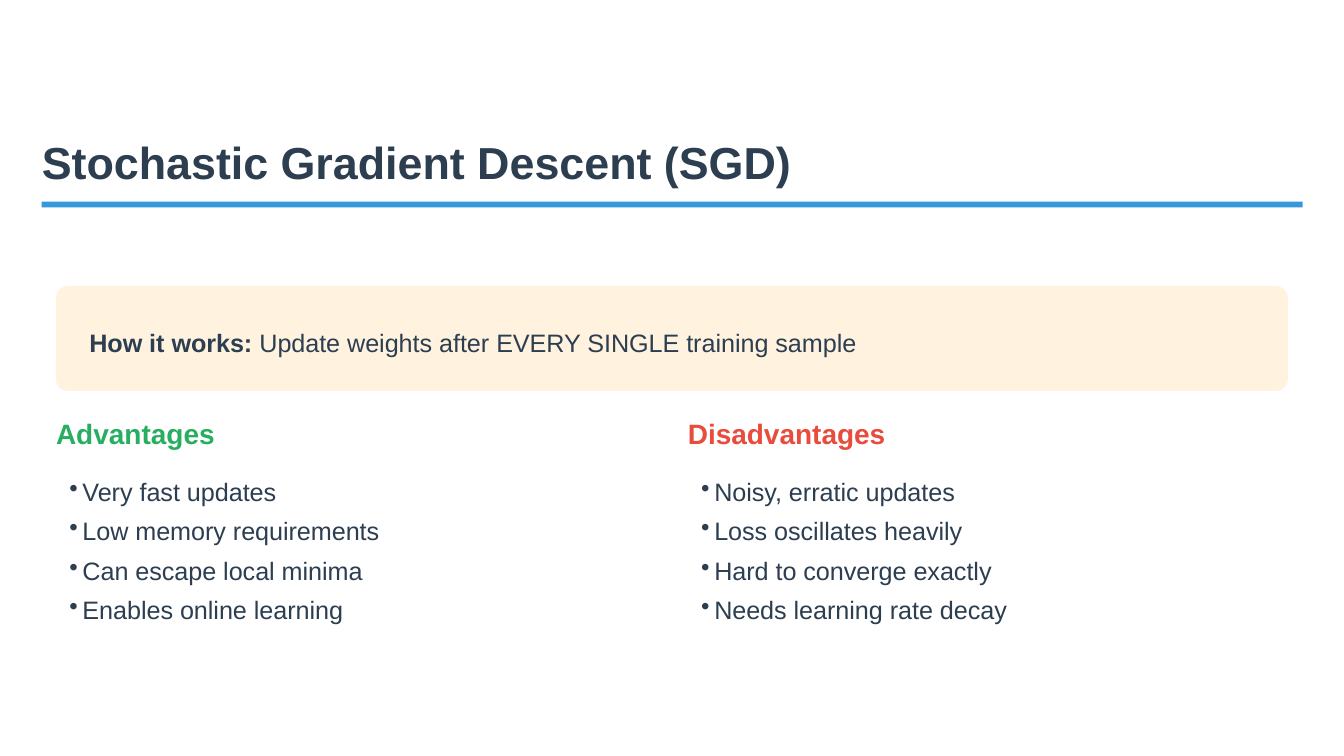
from dataclasses import dataclass

from lxml.etree import SubElement
from pptx import Presentation
from pptx.dml.color import RGBColor
from pptx.enum.shapes import MSO_SHAPE as Shape
from pptx.enum.text import MSO_ANCHOR as Anchor, MSO_AUTO_SIZE as AutoSize, PP_ALIGN as Align
from pptx.oxml.ns import qn
from pptx.util import Cm, Pt

FONT = "Arial"
INK = "2C3E50"
BLUE = "3498DB"
CREAM = "FFF3E0"
GREEN = "27AE60"
RED = "E74C3C"

MARGIN = 1.06
COLUMN_STEP = 11.94
INDENT = 0.25
BODY_SIZE = 13.5


@dataclass
class Box:
    left: float
    top: float
    width: float
    height: float

    def lengths(self) -> tuple:
        return Cm(self.left), Cm(self.top), Cm(self.width), Cm(self.height)


@dataclass
class Column:
    heading: str
    color: str
    items: list[str]


COLUMNS = [
    Column("Advantages", GREEN, [
        "Very fast updates",
        "Low memory requirements",
        "Can escape local minima",
        "Enables online learning",
    ]),
    Column("Disadvantages", RED, [
        "Noisy, erratic updates",
        "Loss oscillates heavily",
        "Hard to converge exactly",
        "Needs learning rate decay",
    ]),
]


def rgb(value: str) -> RGBColor:
    return RGBColor.from_string(value)


def prepare_frame(sp, inset: float = 0):
    tf = sp.text_frame
    tf.margin_left = Cm(inset)
    tf.margin_top = tf.margin_right = tf.margin_bottom = 0
    tf.vertical_anchor = Anchor.TOP
    tf.auto_size = AutoSize.NONE
    tf.word_wrap = True
    return tf


def add_frame(s, box: Box, inset: float = 0):
    return prepare_frame(s.shapes.add_textbox(*box.lengths()), inset)


def format_paragraph(p, line_spacing: float) -> None:
    p.alignment = Align.LEFT
    p.line_spacing = Pt(line_spacing)


def add_run(p, text: str, size: float, color: str = INK, bold: bool = False) -> None:
    r = p.add_run()
    r.text = text
    r.font.name = FONT
    r.font.size = Pt(size)
    r.font.bold = bold
    r.font.color.rgb = rgb(color)


def add_bullet(p) -> None:
    props = p._p.get_or_add_pPr()
    props.set("marL", str(Cm(INDENT)))
    props.set("indent", str(-Cm(INDENT)))
    SubElement(props, qn("a:buChar")).set("char", "•")


def add_panel(s, kind: Shape, box: Box, color: str):
    sp = s.shapes.add_shape(kind, *box.lengths())
    sp.shadow.inherit = False
    sp.fill.solid()
    sp.fill.fore_color.rgb = rgb(color)
    sp.line.fill.background()
    return sp


def add_title(s, text: str) -> None:
    sp = s.shapes.title
    sp.left, sp.top, sp.width, sp.height = Box(0.79, 2.72, 14.48, 0.84).lengths()
    p = prepare_frame(sp).paragraphs[0]
    format_paragraph(p, 24)
    add_run(p, text, 24, bold=True)


def add_summary(s, label: str, text: str) -> None:
    sp = add_panel(s, Shape.ROUNDED_RECTANGLE, Box(MARGIN, 5.41, 23.28, 1.98), CREAM)
    sp.adjustments[0] = 0.11
    p = add_frame(s, Box(1.69, 6.05, 22.45, 0.71)).paragraphs[0]
    format_paragraph(p, 20.2)
    add_run(p, label, BODY_SIZE, bold=True)
    add_run(p, text, BODY_SIZE)


def add_column(s, left: float, column: Column) -> None:
    p = add_frame(s, Box(left, 7.92, 5.79, 0.58)).paragraphs[0]
    format_paragraph(p, 16.7)
    add_run(p, column.heading, 15, column.color, bold=True)

    tf = add_frame(s, Box(left, 8.84, 11.33, 3.28), INDENT)
    for i, item in enumerate(column.items):
        p = tf.add_paragraph() if i else tf.paragraphs[0]
        format_paragraph(p, 21)
        add_bullet(p)
        add_run(p, item, BODY_SIZE)


def main() -> None:
    prs = Presentation()
    prs.slide_width, prs.slide_height = Cm(25.4), Cm(14.29)
    s = prs.slides.add_slide(prs.slide_layouts[5])
    s.background.fill.solid()
    s.background.fill.fore_color.rgb = rgb("FFFFFF")

    add_title(s, "Stochastic Gradient Descent (SGD)")
    add_panel(s, Shape.RECTANGLE, Box(0.79, 3.81, 23.83, 0.11), BLUE)
    add_summary(s, "How it works:", " Update weights after EVERY SINGLE training sample")
    for i, column in enumerate(COLUMNS):
        add_column(s, MARGIN + i * COLUMN_STEP, column)

    prs.save("out.pptx")


if __name__ == "__main__":
    main()
